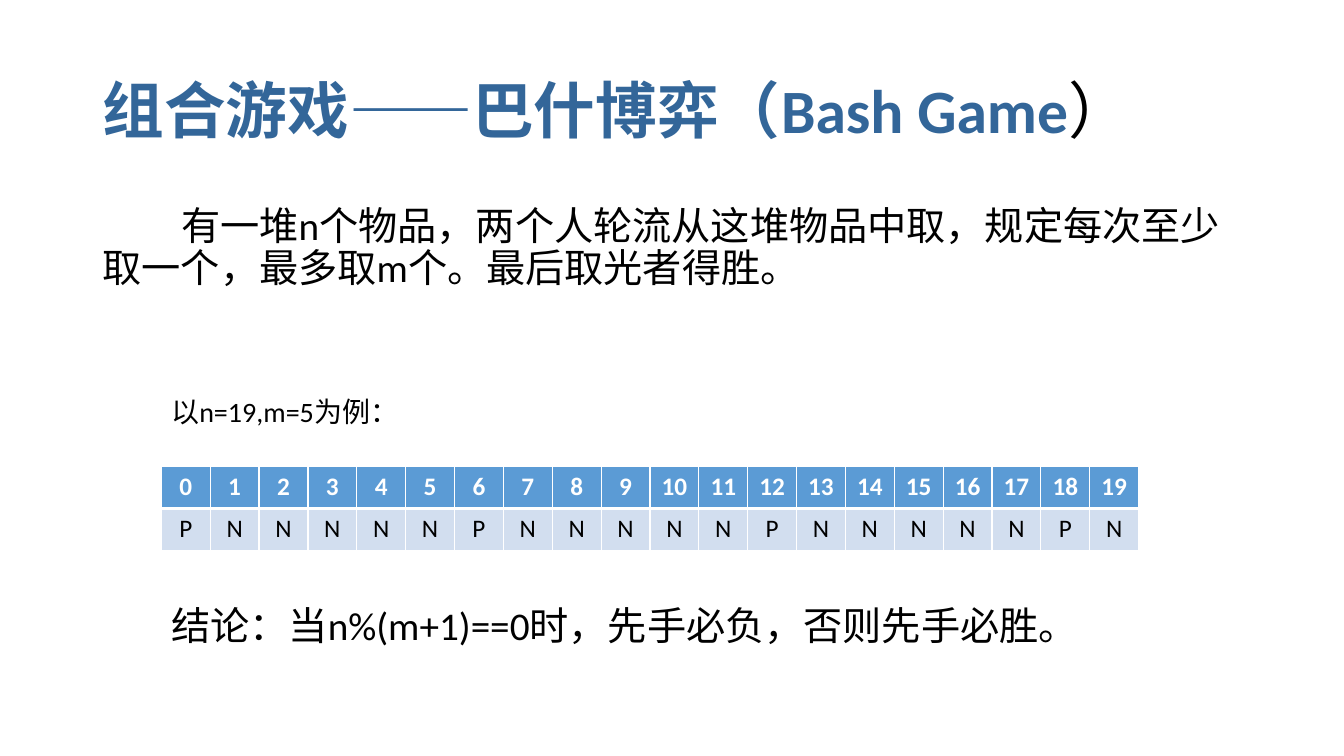
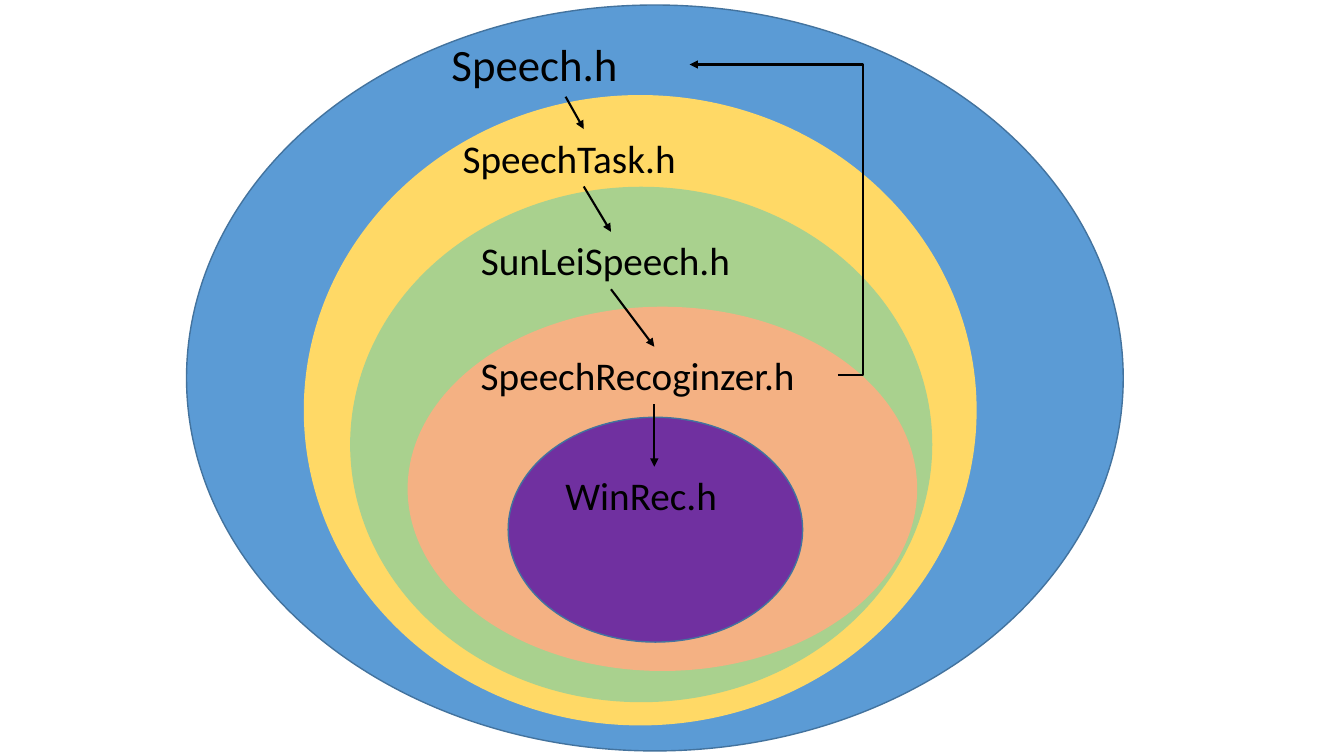
from dataclasses import dataclass
from itertools import pairwise

from lxml import etree
from pptx import Presentation
from pptx.dml.color import RGBColor
from pptx.enum.lang import MSO_LANGUAGE_ID
from pptx.enum.shapes import MSO_CONNECTOR, MSO_SHAPE
from pptx.enum.text import MSO_ANCHOR, MSO_AUTO_SIZE, PP_ALIGN
from pptx.oxml.ns import qn
from pptx.shapes.connector import Connector
from pptx.slide import Slide
from pptx.table import _Cell
from pptx.text.text import _Paragraph
from pptx.util import Emu, Pt

SCALE = 9144  # EMU in one px, 100 px to the inch
OVAL = MSO_SHAPE.OVAL
LINE, ELBOW = MSO_CONNECTOR.STRAIGHT, MSO_CONNECTOR.ELBOW
TOP, MIDDLE = MSO_ANCHOR.TOP, MSO_ANCHOR.MIDDLE
CENTER = PP_ALIGN.CENTER
FIT, FIXED = MSO_AUTO_SIZE.SHAPE_TO_FIT_TEXT, MSO_AUTO_SIZE.NONE
CHINESE = MSO_LANGUAGE_ID.SIMPLIFIED_CHINESE


@dataclass(frozen=True)
class Theme:
    font: str = "Calibri"
    black: str = "000000"
    white: str = "FFFFFF"
    title: str = "336699"
    blue: str = "5B9BD5"
    pale: str = "D2DEEF"
    edge: str = "43739E"
    yellow: str = "FFD966"
    green: str = "A9D18E"
    orange: str = "F4B183"
    purple: str = "7030A0"
    head: int = 44
    large: int = 32
    body: int = 28
    note: int = 20
    cell: int = 18


THEME = Theme()


@dataclass(frozen=True)
class Box:
    x: int
    y: int
    w: int
    h: int

    @property
    def mid(self) -> int:
        return self.x + self.w // 2

    @property
    def right(self) -> int:
        return self.x + self.w

    @property
    def base(self) -> int:
        return self.y + self.h

    @property
    def emu(self) -> tuple[Emu, ...]:
        return tuple(px(n) for n in (self.x, self.y, self.w, self.h))


@dataclass(frozen=True)
class Run:
    text: str
    size: int = THEME.body
    color: str = THEME.black
    bold: bool = False


@dataclass(frozen=True)
class Layer:
    oval: Box
    fill: str
    edge: str
    label: Box
    run: Run


LAYERS = (
    Layer(Box(185, 5, 929, 740), THEME.blue, THEME.edge,
          Box(438, 32, 246, 64), Run("Speech.h", THEME.large)),
    Layer(Box(302, 95, 666, 624), THEME.yellow, THEME.yellow,
          Box(449, 128, 260, 57), Run("SpeechTask.h")),
    Layer(Box(348, 186, 576, 510), THEME.green, THEME.green,
          Box(467, 230, 279, 57), Run("SunLeiSpeech.h")),
    Layer(Box(405, 305, 504, 360), THEME.orange, THEME.orange,
          Box(467, 344, 364, 57), Run("SpeechRecoginzer.h")),
    Layer(Box(504, 414, 292, 223), THEME.purple, THEME.edge,
          Box(551, 463, 196, 57), Run("WinRec.h")),
)


def px(n: int) -> Emu:
    return Emu(n * SCALE)


def rgb(color: str) -> RGBColor:
    return RGBColor.from_string(color)


def write(para: _Paragraph, *runs: Run) -> None:
    for item in runs:
        run = para.add_run()
        run.text = item.text
        font = run.font
        font.name, font.size, font.bold = THEME.font, Pt(item.size), item.bold
        font.color.rgb = rgb(item.color)
        font.language_id = CHINESE


def add_text(slide: Slide, box: Box, *runs: Run, fit: bool = True,
             middle: bool = False) -> _Paragraph:
    frame = slide.shapes.add_textbox(*box.emu).text_frame
    frame.word_wrap = True
    frame.auto_size = FIT if fit else FIXED
    frame.vertical_anchor = MIDDLE if middle else TOP
    para = frame.paragraphs[0]
    write(para, *runs)
    return para


def add_oval(slide: Slide, layer: Layer) -> None:
    oval = slide.shapes.add_shape(OVAL, *layer.oval.emu)
    oval.shadow.inherit = False
    oval.fill.solid()
    oval.fill.fore_color.rgb = rgb(layer.fill)
    oval.line.color.rgb = rgb(layer.edge)
    oval.line.width = Pt(1)


def add_arrow(slide: Slide, start: tuple[int, int], end: tuple[int, int],
              kind: MSO_CONNECTOR = LINE) -> Connector:
    arrow = slide.shapes.add_connector(kind, *map(px, start + end))
    arrow.line.color.rgb = rgb(THEME.black)
    arrow.line.width = Pt(1.5)
    props = arrow._element.spPr
    etree.SubElement(props.find(qn("a:ln")), qn("a:tailEnd"), type="triangle")
    etree.SubElement(props, qn("a:effectLst"))
    return arrow


def bend(arrow: Connector, ratio: float) -> None:
    """Place the elbow at a share of the connector's width."""
    guides = arrow._element.spPr.find(qn("a:prstGeom")).get_or_add_avLst()
    etree.SubElement(guides, qn("a:gd"), name="adj1",
                     fmla=f"val {round(ratio * 100000)}")


def add_edges(cell: _Cell, base: int) -> None:
    """Draw white borders; base is in points. Call before the fill is set."""
    props = cell._tc.get_or_add_tcPr()
    for side, width in (("L", 1), ("R", 1), ("T", 1), ("B", base)):
        line = etree.SubElement(props, qn(f"a:ln{side}"), w=str(Pt(width)))
        fill = etree.SubElement(line, qn("a:solidFill"))
        etree.SubElement(fill, qn("a:srgbClr"), val=THEME.white)


def set_cell(cell: _Cell, text: str, head: bool) -> None:
    add_edges(cell, 3 if head else 1)
    cell.fill.solid()
    cell.fill.fore_color.rgb = rgb(THEME.blue if head else THEME.pale)
    para = cell.text_frame.paragraphs[0]
    para.alignment = CENTER
    color = THEME.white if head else THEME.black
    write(para, Run(text, THEME.cell, color, head))


def add_grid(slide: Slide, box: Box, count: int, most: int) -> None:
    """Tabulate lost (P) and won (N) positions when up to `most` are taken."""
    table = slide.shapes.add_table(2, count, *box.emu).table
    for row in table.rows:
        row.height = Emu(px(box.h) // 2)
    for col in range(count):
        table.columns[col].width = Emu(px(box.w) // count)
        state = "N" if col % (most + 1) else "P"
        set_cell(table.cell(0, col), str(col), True)
        set_cell(table.cell(1, col), state, False)


def draw_game(slide: Slide) -> None:
    title = add_text(
        slide, Box(92, 40, 1150, 145),
        Run("组合游戏——巴什博弈（Bash Game", THEME.head, THEME.title, True),
        Run("）", THEME.head), fit=False, middle=True)
    title.line_spacing = 0.9
    rule = add_text(
        slide, Box(92, 200, 1150, 476),
        Run("有一堆n个物品，两个人轮流从这堆物品中取，规定每次至少取一个，"
            "最多取m个。最后取光者得胜。"), fit=False)
    rule.line_spacing = 0.9
    rule.space_before = Pt(10)
    rule._p.get_or_add_pPr().set("indent", str(px(78)))
    add_grid(slide, Box(160, 463, 970, 83), 20, 5)
    add_text(slide, Box(160, 386, 773, 44),
             Run("以n=19,m=5为例：", THEME.note))
    add_text(slide, Box(160, 592, 1060, 57),
             Run("结论：当n%(m+1)==0时，先手必负，否则先手必胜。"))


def draw_layers(slide: Slide) -> None:
    for layer in LAYERS:
        add_oval(slide, layer)
        add_text(slide, layer.label, layer.run)
    labels = [layer.label for layer in LAYERS]
    for upper, lower in pairwise(labels):
        add_arrow(slide, (upper.mid, upper.base), (lower.mid, lower.y))
    first, last = labels[0], labels[3]
    back = add_arrow(slide, (last.right, last.y + last.h // 2),
                     (first.right, first.y + first.h // 2), ELBOW)
    bend(back, -0.17)


def main() -> None:
    deck = Presentation()
    deck.slide_width, deck.slide_height = px(1333), px(750)
    blank = deck.slide_layouts[6]
    for draw in (draw_game, draw_layers):
        draw(deck.slides.add_slide(blank))
    deck.save("out.pptx")


if __name__ == "__main__":
    main()
